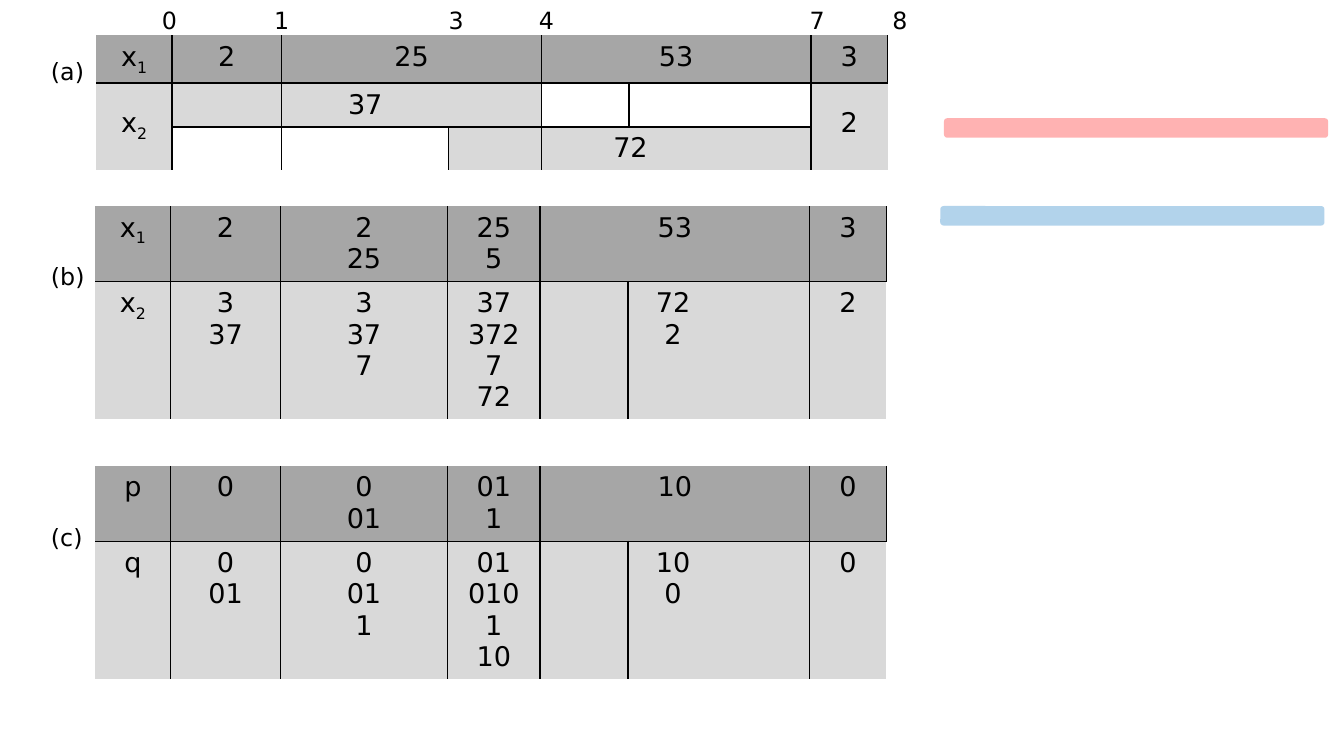
from lxml import etree
from pptx import Presentation
from pptx.dml.color import RGBColor
from pptx.enum.shapes import MSO_SHAPE
from pptx.enum.text import MSO_ANCHOR, PP_ALIGN
from pptx.oxml.ns import qn
from pptx.util import Inches, Pt

CENTER, LEFT = PP_ALIGN.CENTER, PP_ALIGN.LEFT
TOP = MSO_ANCHOR.TOP
ROUNDED = MSO_SHAPE.ROUNDED_RECTANGLE
FONT = "DejaVu Sans"
COLORS = {
    "text": "000000",
    "header": "A6A6A6",
    "body": "D9D9D9",
    "gap": "FFFFFF",
    "red": "FF0000",
    "blue": "0070C0",
}
PLAIN_STYLE = "{2D5ABB26-0587-4C30-8999-92F81FD0307C}"
COLUMNS = [0.62, 0.9, 1.37, 0.76, 0.72, 0.74, 0.75, 0.63]
BLOCK_EDGES = [1, 2, 3, 4, 7]
TICKS = {"0": 1.39, "1": 2.31, "3": 3.74, "4": 4.48, "7": 6.7, "8": 7.38}
LABELS = {"(a)": 0.42, "(b)": 2.1, "(c)": 4.24}
BARS = [("red", 7.74, 0.97), ("blue", 7.71, 1.69)]

ALIGNMENT_CELLS = {
    (0, 0, 1, 1): "x_1", (0, 1, 1, 1): "2", (0, 2, 1, 2): "25",
    (0, 4, 1, 3): "53", (0, 7, 1, 1): "3",
    (1, 0, 2, 1): "x_2", (1, 2, 1, 1): "37", (1, 7, 2, 1): "2",
    (2, 4, 1, 2): "72",
}
ALIGNMENT_GAPS = {(1, 4), (1, 5), (1, 6), (2, 1), (2, 2)}
ALIGNMENT_LINES = {(row, edge) for row in range(3) for edge in (1, 7)} | {
    (0, 2), (0, 4), (1, 4), (2, 3)}
BLOCK_LINES = {(row, edge) for row in range(2) for edge in BLOCK_EDGES}
VALUE_BLOCKS = [
    ["x_1", "2", "2\n25", "25\n5", "53", "3"],
    ["x_2", "3\n37", "3\n37\n7", "37\n372\n7\n72", "72\n2", "2"],
]
INDEX_BLOCKS = [
    ["p", "0", "0\n01", "01\n1", "10", "0"],
    ["q", "0\n01", "0\n01\n1", "01\n010\n1\n10", "10\n0", "0"],
]


def write_text(frame, text, size=16, align=CENTER):
    for index, line in enumerate(text.split("\n")):
        paragraph = frame.paragraphs[0] if index == 0 else frame.add_paragraph()
        paragraph.alignment = align
        for part, content in enumerate(line.split("_")):
            run = paragraph.add_run()
            run.text = content
            run.font.name = FONT
            run.font.size = Pt(size)
            run.font.color.rgb = RGBColor.from_string(COLORS["text"])
            if part:
                run.font._element.set("baseline", "-25000")


def add_text(slide, text, left, top, width, height, **text_format):
    box = slide.shapes.add_textbox(*map(Inches, (left, top, width, height)))
    box.text_frame.word_wrap = True
    box.text_frame.vertical_anchor = TOP
    write_text(box.text_frame, text, **text_format)


def add_borders(cell, sides):
    properties = cell._tc.get_or_add_tcPr()
    for side in sides:
        line = etree.SubElement(properties, qn(f"a:ln{side}"), w=str(Pt(1)))
        fill = etree.SubElement(line, qn("a:solidFill"))
        etree.SubElement(fill, qn("a:srgbClr"), val=COLORS["text"])


def border_sides(row, column, lines):
    present = {
        "L": (row, column) in lines,
        "R": (row, column + 1) in lines,
        "T": row == 1,
        "B": row == 0,
    }
    return [side for side, shown in present.items() if shown]


def add_grid(slide, left, top, heights, cells, lines, gaps=()):
    frame = slide.shapes.add_table(
        len(heights), len(COLUMNS), Inches(left), Inches(top),
        Inches(sum(COLUMNS)), Inches(sum(heights)))
    table = frame.table
    table.first_row = table.horz_banding = False
    table._tbl.tblPr.find(qn("a:tableStyleId")).text = PLAIN_STYLE
    for column, width in zip(table.columns, COLUMNS):
        column.width = Inches(width)
    for row_index, height in enumerate(heights):
        table.rows[row_index].height = Inches(height)
        for column_index in range(len(COLUMNS)):
            cell = table.cell(row_index, column_index)
            add_borders(cell, border_sides(row_index, column_index, lines))
            body = "gap" if (row_index, column_index) in gaps else "body"
            cell.fill.solid()
            cell.fill.fore_color.rgb = RGBColor.from_string(
                COLORS["header" if row_index == 0 else body])
            cell.margin_top = cell.margin_bottom = 0
    for (row, column, row_span, column_span), text in cells.items():
        cell = table.cell(row, column)
        if row_span * column_span > 1:
            cell.merge(table.cell(row + row_span - 1, column + column_span - 1))
        cell.margin_top = Inches(0.2 if row_span > 1 else 0.05)
        cell.margin_bottom = Inches(0.05)
        write_text(cell.text_frame, text)


def add_block_grid(slide, top, rows):
    cells = {}
    for row, texts in enumerate(rows):
        for column, text in zip([0, 1, 2, 3, 4, 7], texts):
            if row == 1 and column == 4:
                column = 5
            span = 3 if column == 4 else 1
            cells[row, column, 1, span] = text
    add_grid(slide, 0.78, top, [0.62, 1.13], cells, BLOCK_LINES)


def add_bar(slide, color, left, top):
    bar = slide.shapes.add_shape(
        ROUNDED, Inches(left), Inches(top), Inches(3.15), Inches(0.16))
    bar.shadow.inherit = False
    bar.line.fill.background()
    bar.fill.solid()
    bar.fill.fore_color.rgb = RGBColor.from_string(COLORS[color])
    shade = bar._element.spPr.find(qn("a:solidFill"))[0]
    etree.SubElement(shade, qn("a:alpha"), val="30000")


def main():
    presentation = Presentation()
    presentation.slide_width = Inches(11.02)
    presentation.slide_height = Inches(6.2)
    slide = presentation.slides.add_slide(presentation.slide_layouts[6])
    add_grid(slide, 0.79, 0.29, [0.39, 0.36, 0.35],
             ALIGNMENT_CELLS, ALIGNMENT_LINES, ALIGNMENT_GAPS)
    add_block_grid(slide, 1.69, VALUE_BLOCKS)
    add_block_grid(slide, 3.82, INDEX_BLOCKS)
    for text, top in LABELS.items():
        add_text(slide, text, 0.32, top, 0.54, 0.44, size=14, align=LEFT)
    for text, center in TICKS.items():
        add_text(slide, text, center - 0.2, 0, 0.4, 0.25, size=14)
    for color, left, top in BARS:
        add_bar(slide, color, left, top)
    presentation.save("out.pptx")


if __name__ == "__main__":
    main()
